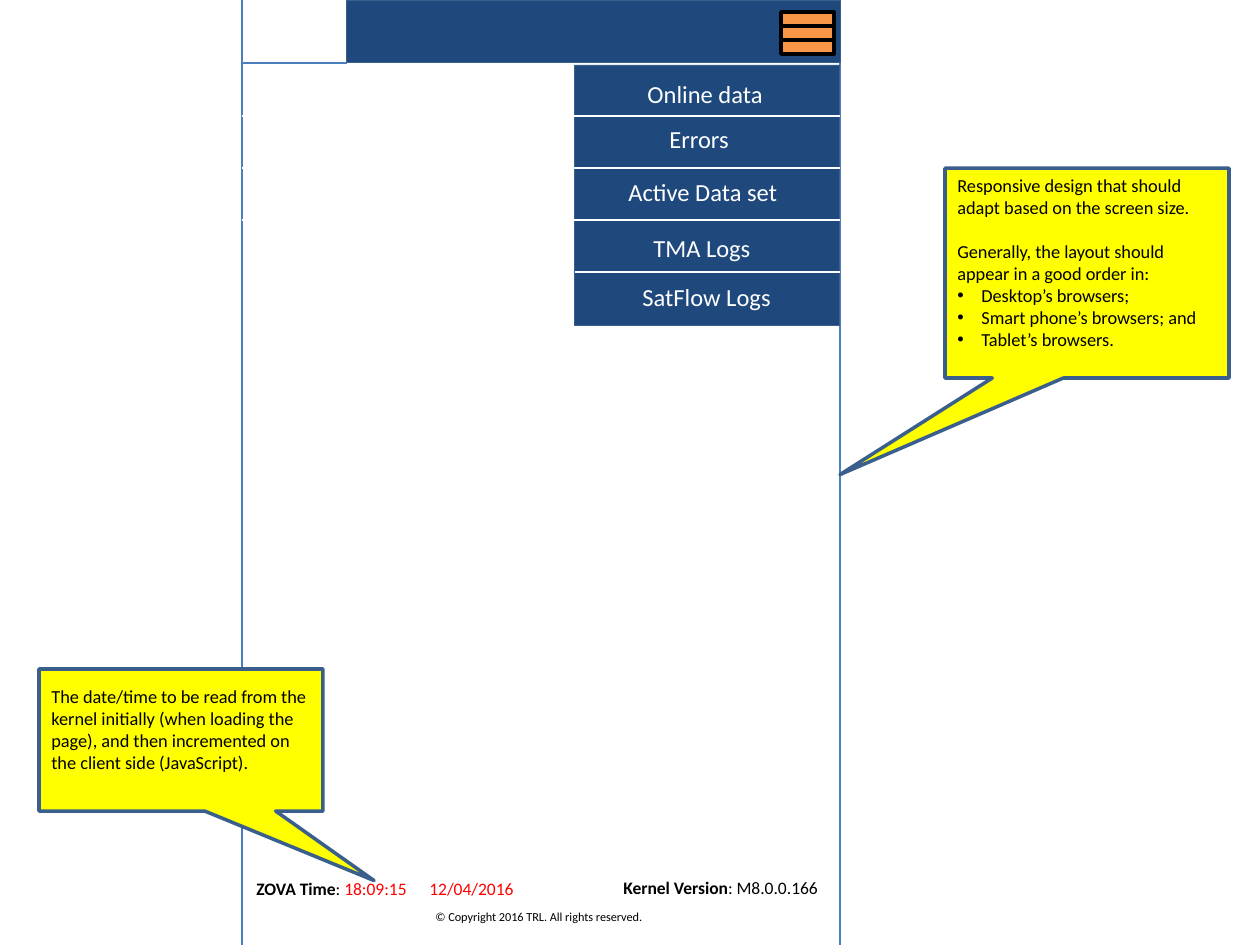
from pptx import Presentation
from pptx import util as u
from pptx.dml.color import RGBColor
from pptx.enum import shapes, text
from pptx.oxml import ns
from lxml import etree

SCALE = 914400 / 126
NAVY = RGBColor(0x1F, 0x49, 0x7D)
EDGE = RGBColor(0x3A, 0x5F, 0x8C)
BLUE = RGBColor(0x4B, 0x7E, 0xBC)
GOLD = RGBColor(0xF7, 0x96, 0x46)
YELLOW = RGBColor(0xFF, 0xFF, 0x00)
RED = RGBColor(0xFF, 0, 0)
BLACK = RGBColor(0, 0, 0)
WHITE = RGBColor(0xFF, 0xFF, 0xFF)
KIND = shapes.MSO_SHAPE
ITEMS = [
    ("Online data", 60, 8, 144),
    ("Errors", 82, 53, 86),
    ("Active Data set", 41, 106, 176),
    ("TMA Logs", 66, 162, 123),
    ("SatFlow Logs", 55, 211, 155),
]


def px(n):
    """Turn pixels into EMU."""
    return u.Emu(round(n * SCALE))


def sub(node, tag, **attrs):
    """Append a drawing element to a node."""
    return etree.SubElement(node, ns.qn(tag), **attrs)


def line(slide, x1, y1, x2, y2, color, width=0.75):
    """Draw a straight line without a shadow."""
    rule = slide.shapes.add_connector(
        shapes.MSO_CONNECTOR.STRAIGHT, px(x1), px(y1), px(x2), px(y2))
    rule.line.color.rgb = color
    rule.line.width = u.Pt(width)
    sub(rule._element.spPr, "a:effectLst")


def block(slide, box, fill, edge, width, kind=KIND.RECTANGLE):
    """Draw a filled and outlined shape."""
    shape = slide.shapes.add_shape(kind, *map(px, box))
    shape.shadow.inherit = False
    shape.fill.solid()
    shape.fill.fore_color.rgb = fill
    shape.line.color.rgb = edge
    shape.line.width = u.Pt(width)
    return shape


def write(para, words, size, color=BLACK, bold=False):
    """Add one run to a paragraph."""
    run = para.add_run()
    run.text = words
    run.font.name = "Calibri"
    run.font.size = u.Pt(size)
    run.font.bold = bold
    run.font.color.rgb = color


def label(slide, box, wrap=False):
    """Place a text box and return its paragraph."""
    frame = slide.shapes.add_textbox(*map(px, box)).text_frame
    frame.word_wrap = wrap
    return frame.paragraphs[0]


def header(slide, box):
    """Draw the top bar with its menu button."""
    x, y, w, h = box
    block(slide, box, NAVY, EDGE, 0.5)
    left, top = x + 434, y + 11
    block(slide, (left, top, 53, 42), GOLD, BLACK, 2)
    for step in (1, 2):
        line(slide, left, top + 14 * step, left + 53, top + 14 * step, BLACK, 2.25)
    line(slide, x - 105, y + h, x, y + h, BLUE)


def menu(slide, box, start):
    """Draw the open menu with dividers and items."""
    x, y, w, h = box
    block(slide, box, NAVY, EDGE, 0.5)
    for i in range(4):
        row = y + 51 + 52 * i
        line(slide, start if i < 3 else x, row, x + w, row, WHITE)
    for words, left, top, wide in ITEMS:
        write(label(slide, (x + left, y + top, wide, 42)), words, 14, WHITE)


def footer(slide, box):
    """Write the time, version and copyright texts."""
    x, y, w, h = box
    para = label(slide, (x + 2, y + 1, 300, 34), True)
    tabs = sub(para._p.get_or_add_pPr(), "a:tabLst")
    sub(tabs, "a:tab", pos=str(px(173)), algn="l")
    write(para, "ZOVA Time", 10, bold=True)
    write(para, ": ", 10)
    write(para, "18:09:15\t12/04/2016", 10, RED)
    para = label(slide, (x + 369, y, 224, 34))
    write(para, "Kernel Version", 10, bold=True)
    write(para, ": M8.0.0.166", 10)
    para = label(slide, (x + 181, y + 32, 236, 28))
    write(para, "© Copyright\u00a02016 TRL. All rights reserved.", 7)


def note(slide, box, tip, lines):
    """Draw a callout with plain and bulleted paragraphs."""
    shape = block(slide, box, YELLOW, EDGE, 2, KIND.RECTANGULAR_CALLOUT)
    shape.adjustments[0], shape.adjustments[1] = tip
    frame = shape.text_frame
    frame.word_wrap = True
    frame.vertical_anchor = text.MSO_ANCHOR.MIDDLE
    frame.margin_bottom = px(28)
    for i, (words, gap, dot) in enumerate(lines):
        para = frame.add_paragraph() if i else frame.paragraphs[0]
        para.alignment = text.PP_ALIGN.LEFT
        if gap:
            para.space_before = u.Pt(gap)
        if dot:
            props = para._p.get_or_add_pPr()
            props.set("marL", str(px(24)))
            props.set("indent", str(px(-24)))
            sub(props, "a:buFont", typeface="Arial")
            sub(props, "a:buChar", char="•")
        write(para, words, 10.5)


def main():
    """Build and save the slide."""
    deck = Presentation()
    deck.slide_width, deck.slide_height = px(1260), px(945)
    slide = deck.slides.add_slide(deck.slide_layouts[6])
    for x in (242, 840):
        line(slide, x, 0, x, 945, BLUE)
    header(slide, (347, 1, 494, 62))
    menu(slide, (575, 65, 265, 261), 242)
    footer(slide, (242, 871, 598, 60))
    note(slide, (945, 168, 284, 210), (-0.87, 0.96), [
        ("Responsive design that should adapt based on the screen size.", 0, False),
        ("Generally, the layout should appear in a good order in:", 13, False),
        ("Desktop’s browsers;", 0, True),
        ("Smart phone’s browsers; and", 0, True),
        ("Tablet’s browsers.", 0, True),
    ])
    note(slide, (39, 669, 284, 142), (0.68, 0.99), [
        ("The date/time to be read from the kernel initially (when loading the "
         "page), and then incremented on the client side (JavaScript).", 0, False),
    ])
    deck.save("out.pptx")


if __name__ == "__main__":
    main()
